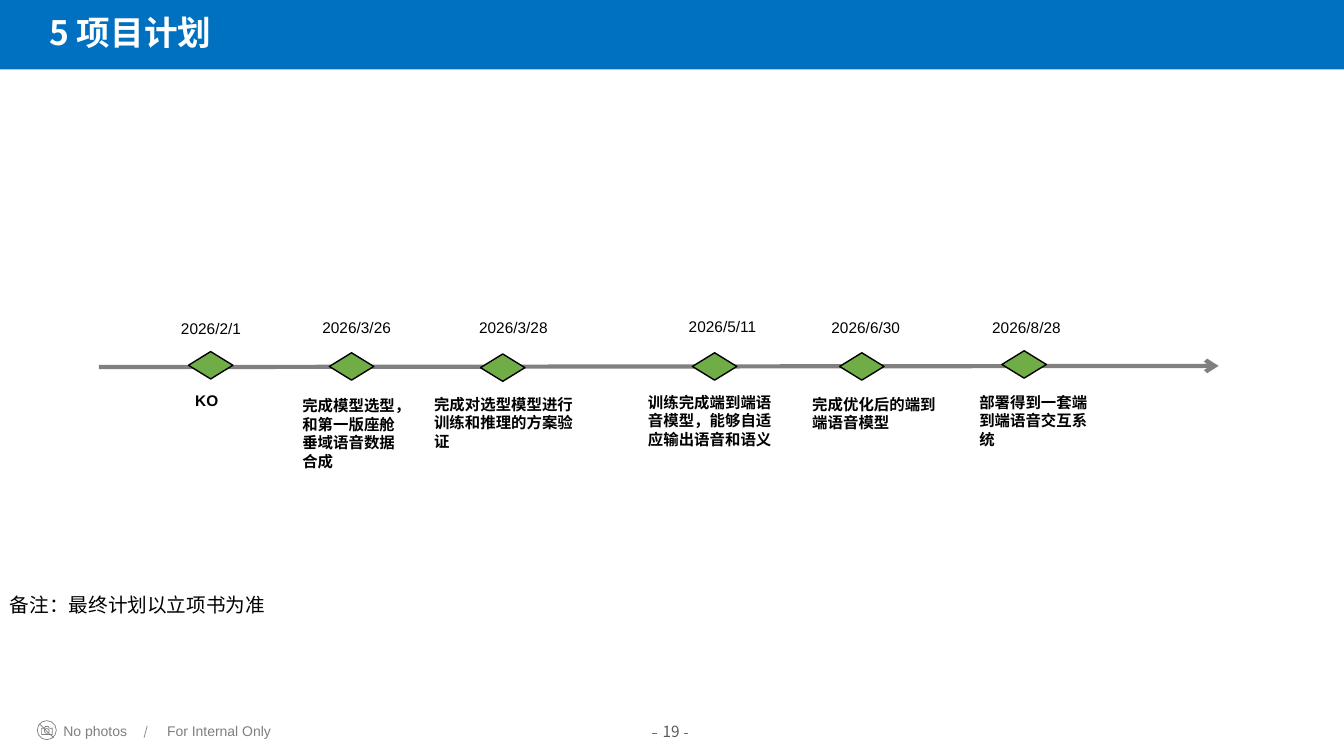
"""Build the project plan timeline slide."""
from lxml.etree import SubElement
from pptx import Presentation
from pptx.dml.color import RGBColor
from pptx.enum.shapes import MSO_CONNECTOR, MSO_SHAPE
from pptx.enum.text import MSO_ANCHOR, MSO_AUTO_SIZE, PP_ALIGN
from pptx.oxml.ns import qn
from pptx.util import Cm, Pt

LATIN, HAN = "Arial", "Noto Sans CJK SC"
GREY, DARK = "7F7F7F", "808080"
BLUE, GREEN, BLACK, WHITE = "0070C0", "70AD47", "000000", "FFFFFF"
WIDE, HIGH = 33.87, 19.05
GEM_W, GEM_H = 1.12, 0.69
DATE_H, LINE_H, PAD = 0.74, 0.47, 0.27

TITLE = "5 项目计划"
# date: centre, top, width; gem: centre, top; note: left, top, width, lines
STEPS = [
    ("2026/2/1", (5.32, 7.92, 4.55), (5.31, 8.86),
     "KO", (4.67, 9.73, 1.3, 1)),
    ("2026/3/26", (8.99, 7.9, 2.39), (8.86, 8.89),
     "完成模型选型，和第一版座舱垂域语音数据合成", (7.37, 9.86, 3.02, 4)),
    ("2026/3/28", (12.94, 7.9, 2.67), (12.67, 8.92),
     "完成对选型模型进行训练和推理的方案验证", (10.69, 9.83, 4.11, 3)),
    ("2026/5/11", (18.21, 7.87, 2.34), (18.01, 8.89),
     "训练完成端到端语音模型，能够自适应输出语音和语义", (16.08, 9.78, 3.84, 3)),
    ("2026/6/30", (21.82, 7.9, 2.34), (21.72, 8.89),
     "完成优化后的端到端语音模型", (20.22, 9.83, 3.96, 2)),
    ("2026/8/28", (25.87, 7.9, 4.55), (25.81, 8.84),
     "部署得到一套端到端语音交互系统", (24.43, 9.78, 3.51, 3)),
]
LABELS = [
    ("No photos", (1.35, 18.08, 2.24, 0.69), 10, LATIN, GREY),
    ("For Internal Only", (3.96, 18.08, 3.15, 0.69), 10, LATIN, GREY),
    ("备注：最终计划以立项书为准", (0, 14.81, 6.99, 0.86), 14, HAN, BLACK),
]
RULES = [
    ((0.99, 18.24, 1.35, 18.59), GREY),
    ((3.71, 18.29, 3.63, 18.59), DARK),
    ((17.25, 18.49, 17.35, 18.49), "4472C4"),
    ((16.43, 18.49, 16.56, 18.49), "4472C4"),
]
CAMERA = [(105, 1851), (105, 1835), (112, 1835), (114, 1831),
          (122, 1831), (124, 1835), (132, 1835), (132, 1851)]


def tint(code):
    return RGBColor.from_string(code)


def style(par, size, face, code, bold=False, align=PP_ALIGN.LEFT):
    par.alignment = align
    font = par.font
    font.size, font.name, font.bold = Pt(size), face, bold
    font.color.rgb = tint(code)
    props = par._p.pPr.find(qn("a:defRPr"))
    SubElement(props, qn("a:ea"), typeface=HAN)


def write(slide, text, box, *look, wrap=True, **more):
    frame = slide.shapes.add_textbox(*map(Cm, box)).text_frame
    frame.word_wrap = wrap
    frame.text = text
    style(frame.paragraphs[0], *look, **more)


def paint(shape, fill=None, line=None, width=0.5):
    shape.shadow.inherit = False
    if fill:
        shape.fill.solid()
        shape.fill.fore_color.rgb = tint(fill)
    else:
        shape.fill.background()
    if line:
        shape.line.color.rgb = tint(line)
        shape.line.width = Pt(width)
    else:
        shape.line.fill.background()


def draw(slide, kind, box, *look):
    shape = slide.shapes.add_shape(kind, *map(Cm, box))
    paint(shape, *look)
    return shape


def rule(slide, ends, code, width=0.5, arrow=False):
    line = slide.shapes.add_connector(MSO_CONNECTOR.STRAIGHT, *map(Cm, ends))
    line.line.color.rgb = tint(code)
    line.line.width = Pt(width)
    if arrow:
        SubElement(line.line._get_or_add_ln(), qn("a:tailEnd"), type="arrow")
    SubElement(line._element.spPr, qn("a:effectLst"))


def head(slide):
    title = slide.shapes.title
    bar = draw(slide, MSO_SHAPE.RECTANGLE, (0, 0, WIDE, 1.75), BLUE)
    title._element.addprevious(bar._element)
    title.left, title.top, title.width, title.height = map(
        Cm, (0.99, 0.18, 18.69, 1.27))
    frame = title.text_frame
    frame.text = TITLE
    frame.auto_size = MSO_AUTO_SIZE.NONE
    frame.vertical_anchor = MSO_ANCHOR.MIDDLE
    style(frame.paragraphs[0], 24, HAN, WHITE, True)


def foot(slide):
    draw(slide, MSO_SHAPE.OVAL, (0.94, 18.16, 0.48, 0.48), None, GREY)
    pen = slide.shapes.build_freeform(*CAMERA[0], scale=Cm(0.01))
    pen.add_line_segments(CAMERA[1:], close=True)
    paint(pen.convert_to_shape(), None, DARK)
    draw(slide, MSO_SHAPE.OVAL, (1.12, 18.36, 0.12, 0.12), None, DARK)
    for ends, code in RULES:
        rule(slide, ends, code)
    for text, box, *look in LABELS:
        write(slide, text, box, *look, wrap=False)
    write(slide, "19", (16.05, 18.08, 1.73, 0.74), 11, HAN, "5A5A5A",
          align=PP_ALIGN.CENTER)


def plan(slide):
    rule(slide, (2.49, 9.25, 30.71, 9.22), DARK, 3, True)
    for date, (mid, top, width), (gem, gem_top), note, place in STEPS:
        write(slide, date, (mid - width / 2, top, width, DATE_H),
              11, LATIN, BLACK, align=PP_ALIGN.CENTER)
        draw(slide, MSO_SHAPE.DIAMOND, (gem - GEM_W / 2, gem_top, GEM_W, GEM_H),
             GREEN, BLACK, 1)
        *spot, lines = place
        write(slide, note, (*spot, PAD + LINE_H * lines), 11, LATIN, BLACK, True)


def main():
    deck = Presentation()
    deck.slide_width, deck.slide_height = Cm(WIDE), Cm(HIGH)
    slide = deck.slides.add_slide(deck.slide_layouts[5])
    head(slide)
    foot(slide)
    plan(slide)
    deck.save("out.pptx")


if __name__ == "__main__":
    main()
